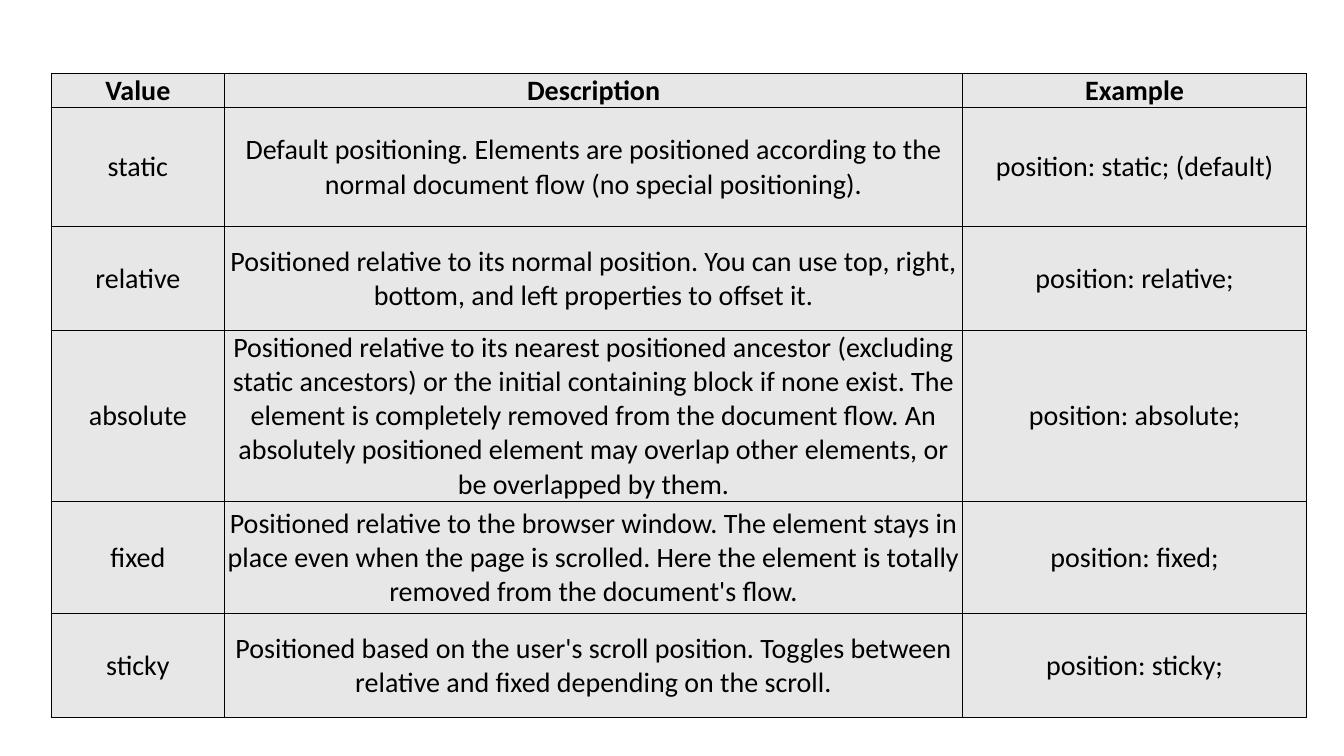
from dataclasses import dataclass

from lxml import etree
from pptx import Presentation
from pptx import util as u
from pptx.dml import color
from pptx.enum import text
from pptx.oxml import ns


@dataclass(frozen=True)
class Theme:
    ink: str = "000000"
    cell: str = "E7E7E7"
    font: str = "Calibri"
    size: float = 20
    border: float = 1


theme = Theme()


def write_text(cell, words, bold=False, align=text.PP_ALIGN.CENTER):
    cell.margin_left = cell.margin_right = cell.margin_top = cell.margin_bottom = 0
    cell.vertical_anchor = text.MSO_ANCHOR.MIDDLE
    para = cell.text_frame.paragraphs[0]
    para.alignment = align
    span = para.add_run()
    span.text = words
    span.font.name = theme.font
    span.font.size = u.Pt(theme.size)
    span.font.bold = bold
    span.font.color.rgb = color.RGBColor.from_string(theme.ink)


def draw_borders(cell):
    properties = cell._tc.get_or_add_tcPr()
    for side in ("a:lnL", "a:lnR", "a:lnT", "a:lnB"):
        line = etree.SubElement(properties, ns.qn(side), w=str(u.Pt(theme.border)))
        fill = etree.SubElement(line, ns.qn("a:solidFill"))
        etree.SubElement(fill, ns.qn("a:srgbClr"), val=theme.ink)


deck = Presentation()
deck.slide_width, deck.slide_height = u.Pt(960), u.Pt(540)
page = deck.slides.add_slide(deck.slide_layouts[6])

entries = [
    ("Value", "Description", "Example"),
    ("static",
     "Default positioning. Elements are positioned according to the normal "
     "document flow (no special positioning).",
     "position: static; (default)"),
    ("relative",
     "Positioned relative to its normal position. You can use top, right, "
     "bottom, and left properties to offset it.",
     "position: relative;"),
    ("absolute",
     "Positioned relative to its nearest positioned ancestor (excluding static "
     "ancestors) or the initial containing block if none exist. The element is "
     "completely removed from the document flow. An absolutely positioned "
     "element may overlap other elements, or be overlapped by them.",
     "position: absolute;"),
    ("fixed",
     "Positioned relative to the browser window. The element stays in place "
     "even when the page is scrolled. Here the element is totally removed from "
     "the document's flow.",
     "position: fixed;"),
    ("sticky",
     "Positioned based on the user's scroll position. Toggles between relative "
     "and fixed depending on the scroll.",
     "position: sticky;"),
]
widths = [124, 527, 246]
heights = [24.5, 85, 74, 122.5, 80, 74]

table = page.shapes.add_table(
    len(heights), len(widths), u.Pt(36.5), u.Pt(52.5),
    u.Pt(sum(widths)), u.Pt(sum(heights))).table
table.horz_banding = False

for column, width in zip(table.columns, widths):
    column.width = u.Pt(width)

for index, (row, height, entry) in enumerate(zip(table.rows, heights, entries)):
    row.height = u.Pt(height)
    for cell, words in zip(row.cells, entry):
        write_text(cell, words, bold=index == 0)
        draw_borders(cell)
        cell.fill.solid()
        cell.fill.fore_color.rgb = color.RGBColor.from_string(theme.cell)

deck.save("out.pptx")
